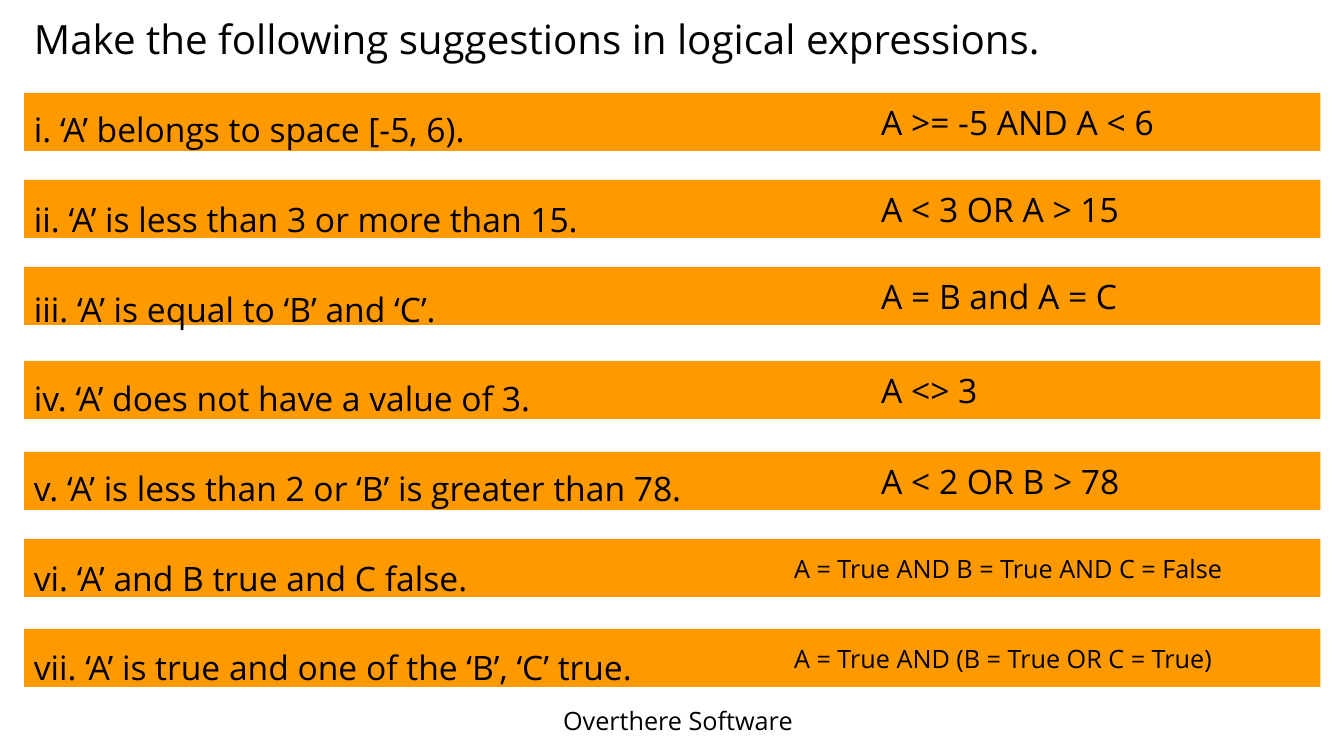
"""Build the slide of suggestions and their logical expressions."""
from dataclasses import dataclass

from pptx import Presentation
from pptx.dml.color import RGBColor
from pptx.enum.shapes import MSO_SHAPE as Form
from pptx.enum.text import MSO_ANCHOR as Anchor
from pptx.util import Inches, Pt

PIXEL = Inches(1) / 100.8
BLACK = RGBColor(0, 0, 0)
ORANGE = RGBColor(0xFE, 0x99, 0x00)
WHITE = RGBColor(0xFF, 0xFF, 0xFF)
FACE = "Open Sans"


@dataclass(frozen=True)
class Box:
    left: int
    top: int
    width: int
    height: int

    def emu(self) -> list[int]:
        return [round(n * PIXEL) for n in (self.left, self.top, self.width, self.height)]


@dataclass(frozen=True)
class Row:
    top: int
    claim: str
    answer: str
    left: int = 871
    size: float = 24


ROWS = [
    Row(93, "i. ‘A’ belongs to space [-5, 6).", "A >= -5 AND A < 6"),
    Row(180, "ii. ‘A’ is less than 3 or more than 15.", "A < 3 OR A > 15"),
    Row(267, "iii. ‘A’ is equal to ‘B’ and ‘C’.", "A = B and A = C"),
    Row(361, "iv. ‘A’ does not have a value of 3.", "A <> 3"),
    Row(452, "v. ‘A’ is less than 2 or ‘B’ is greater than 78.", "A < 2 OR B > 78"),
    Row(539, "vi. ‘A’ and B true and C false.", "A = True AND B = True AND C = False", 784, 18),
    Row(629, "vii. ‘A’ is true and one of the ‘B’, ‘C’ true.",
        "A = True AND (B = True OR C = True)", 784, 18),
]


def style(item: object, form: dict) -> None:
    for key, value in form.items():
        setattr(item, key, value)


def bar(slide, box: Box) -> None:
    shape = slide.shapes.add_shape(Form.RECTANGLE, *box.emu())
    shape.shadow.inherit = False
    shape.fill.solid()
    shape.fill.fore_color.rgb = ORANGE
    shape.line.fill.background()


def write(slide, box: Box, lines: list[str], size: float,
          anchor: Anchor = Anchor.MIDDLE, form: dict | None = None) -> None:
    frame = slide.shapes.add_textbox(*box.emu()).text_frame
    style(frame, {"word_wrap": True, "vertical_anchor": anchor, "text": "\n".join(lines)})
    for para in frame.paragraphs:
        style(para, form or {})
        for run in para.runs:
            style(run.font, {"name": FACE, "size": Pt(size)})
            run.font.color.rgb = BLACK


def main() -> None:
    deck = Presentation()
    style(deck, {"slide_width": Inches(13.33), "slide_height": Inches(7.5)})
    slide = deck.slides.add_slide(deck.slide_layouts[6])
    slide.background.fill.solid()
    slide.background.fill.fore_color.rgb = WHITE
    for row in ROWS:
        bar(slide, Box(24, row.top, 1296, 58))
        write(slide, Box(row.left, row.top, 525, 58), [row.answer], row.size)
    write(slide, Box(24, 11, 1159, 60),
          ["Make the following suggestions in logical expressions."], 28.8,
          form={"line_spacing": 0.9})
    write(slide, Box(24, 80, 772, 615), [row.claim for row in ROWS], 24, Anchor.TOP,
          {"line_spacing": 1.6, "space_after": Pt(18)})
    write(slide, Box(553, 700, 292, 41), ["Overthere Software"], 18)
    deck.save("out.pptx")


main()
